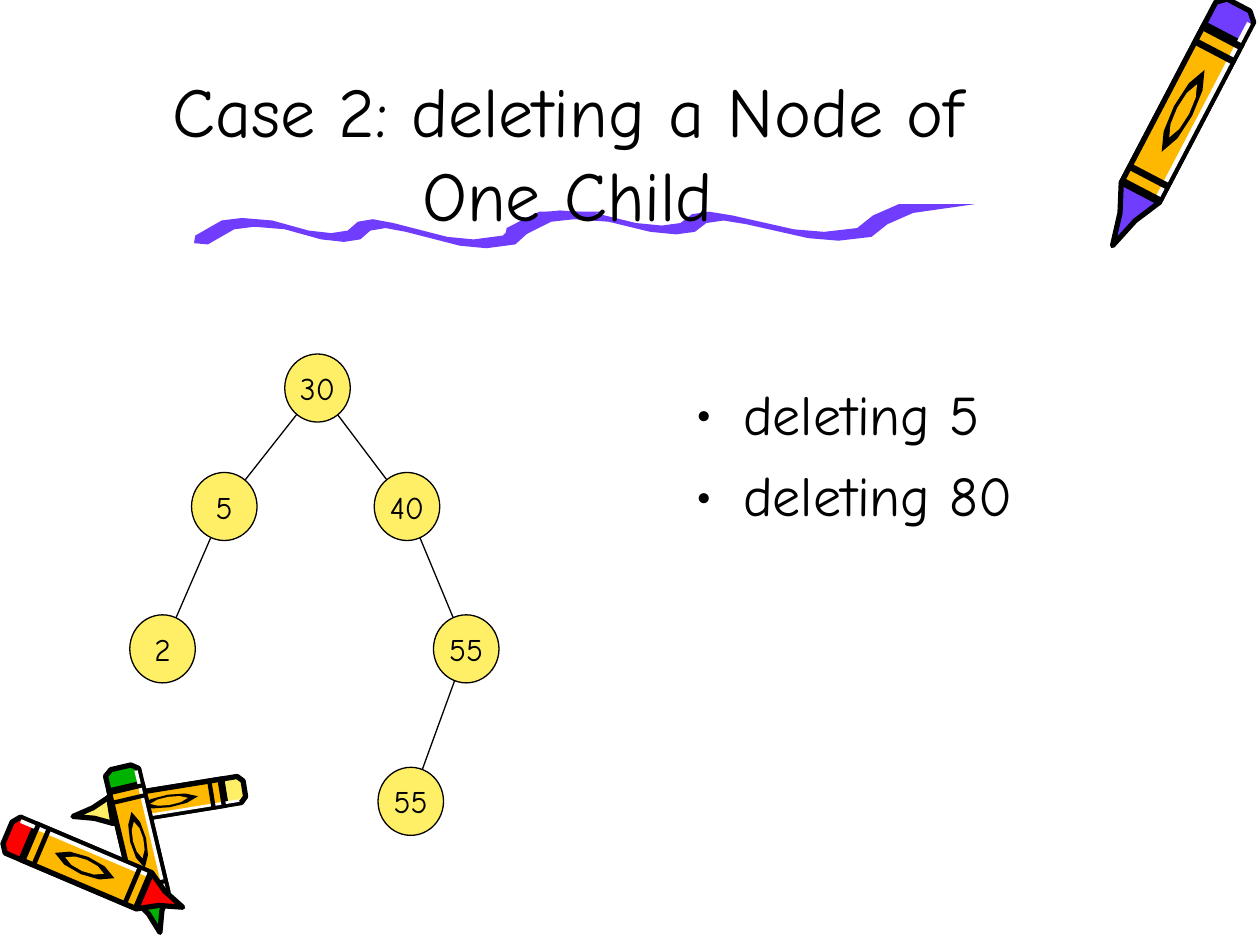
from dataclasses import dataclass
from math import hypot
from typing import NamedTuple

from lxml.etree import SubElement
from pptx import Presentation
from pptx.dml.color import RGBColor
from pptx.enum.shapes import MSO_CONNECTOR, MSO_SHAPE
from pptx.enum.text import MSO_ANCHOR, MSO_AUTO_SIZE, PP_ALIGN
from pptx.oxml.ns import qn
from pptx.util import Inches, Pt

FONT = "Comic Neue"
BLACK, WHITE = "000000", "FFFFFF"
YELLOW, ORANGE, RED = "FFEF66", "FFB800", "FF0000"
GREEN, PURPLE = "00B200", "703DFF"
NODE_WIDTH, NODE_HEIGHT = 0.52, 0.54
NODE_RADIUS = 0.27


class Point(NamedTuple):
    x: float
    y: float


@dataclass(frozen=True)
class Node:
    label: str
    left: float
    top: float
    parent: str = ""

    @property
    def center(self) -> Point:
        return Point(self.left + NODE_WIDTH / 2, self.top + NODE_HEIGHT / 2)


@dataclass(frozen=True)
class Crayon:
    wax: str
    back: Point
    tip: Point
    width: float

    def locate(self, along: float, across: float) -> Point:
        run, rise = self.tip.x - self.back.x, self.tip.y - self.back.y
        side = across * self.width / hypot(run, rise)
        return Point(self.back.x + along * run - side * rise,
                     self.back.y + along * rise + side * run)


TREE = {
    "root": Node("30", 2.26, 2.81),
    "left": Node("5", 1.52, 3.75, "root"),
    "right": Node("40", 2.97, 3.75, "root"),
    "left leaf": Node("2", 1.03, 4.88, "left"),
    "right child": Node("55", 3.44, 4.88, "right"),
    "right leaf": Node("55", 3, 6.09, "right child"),
}

CRAYONS = [
    Crayon(YELLOW, Point(1.94, 6.26), Point(0.58, 6.48), 0.21),
    Crayon(GREEN, Point(0.96, 6.09), Point(1.27, 7.4), 0.27),
    Crayon(RED, Point(0.06, 6.61), Point(1.45, 7.2), 0.31),
    Crayon(PURPLE, Point(9.83, 0.04), Point(8.83, 1.95), 0.34),
]

WAX_HALF = [(0, 0.3), (0.03, 0.5), (0.78, 0.5), (0.88, 0.2), (1, 0)]
WRAPPER_HALF = [(0.12, 0.5), (0.78, 0.5)]
LABEL_HALF = [(0.27, 0), (0.34, 0.18), (0.44, 0.24), (0.54, 0.18), (0.61, 0)]
LABEL_CENTER, LABEL_HOLE = 0.44, 0.65
HIGHLIGHT = [(0.04, -0.46), (0.76, -0.46), (0.76, -0.36), (0.04, -0.36)]
BAND_STARTS, BAND_WIDTH = (0.12, 0.18, 0.7, 0.76), 0.025

SQUIGGLE_START, SQUIGGLE_END = Point(1.54, 1.93), Point(4.81, 1.68)
SQUIGGLE_CURVE = [
    Point(1.65, 1.94), Point(1.86, 1.82), Point(2.02, 1.8), Point(2.26, 1.82), Point(2.55, 1.9),
    Point(2.73, 1.92), Point(2.86, 1.9), Point(2.94, 1.83), Point(3.06, 1.81), Point(3.22, 1.84),
    Point(3.65, 1.95), Point(3.86, 1.97), Point(4.09, 1.94), Point(4.2, 1.84), Point(4.38, 1.75),
]
NIB = Point(-0.1, -0.07)


def color(value: str) -> RGBColor:
    return RGBColor.from_string(value)


def write(frame, *lines: str, size: float, align=PP_ALIGN.LEFT, anchor=MSO_ANCHOR.TOP,
          wrap: bool = True, bullet: str = "", gap: float = 0) -> None:
    frame.word_wrap = wrap
    frame.auto_size = MSO_AUTO_SIZE.NONE
    frame.vertical_anchor = anchor
    for index, line in enumerate(lines):
        para = frame.paragraphs[0] if index == 0 else frame.add_paragraph()
        para.alignment = align
        para.space_before = Pt(gap if index else 0)
        if bullet:
            properties = para._p.get_or_add_pPr()
            properties.set("marL", str(Inches(0.38)))
            properties.set("indent", str(Inches(-0.38)))
            SubElement(properties, qn("a:buFont")).set("typeface", FONT)
            SubElement(properties, qn("a:buChar")).set("char", bullet)
        span = para.add_run()
        span.text = line
        span.font.name = FONT
        span.font.size = Pt(size)
        span.font.color.rgb = color(BLACK)


def paint(shape, fill: str, line_width: float = 0) -> None:
    shape.shadow.inherit = False
    shape.fill.solid()
    shape.fill.fore_color.rgb = color(fill)
    if line_width:
        shape.line.color.rgb = color(BLACK)
        shape.line.width = Pt(line_width)
    else:
        shape.line.fill.background()


def draw_outline(page, points: list[Point], fill: str, line_width: float = 0) -> None:
    corners = [(Inches(point.x), Inches(point.y)) for point in points]
    builder = page.shapes.build_freeform(*corners[0])
    builder.add_line_segments(corners[1:], close=True)
    paint(builder.convert_to_shape(), fill, line_width)


def mirror(half: list[tuple[float, float]]) -> list[tuple[float, float]]:
    return half + [(along, -across) for along, across in reversed(half)]


def draw_crayon(page, crayon: Crayon) -> None:
    def draw_part(part: list[tuple[float, float]], fill: str, line_width: float = 0) -> None:
        draw_outline(page, [crayon.locate(*spot) for spot in part], fill, line_width)

    label = mirror(LABEL_HALF)
    hole = [(LABEL_CENTER + (along - LABEL_CENTER) * LABEL_HOLE, across * LABEL_HOLE)
            for along, across in label]
    draw_part(mirror(WAX_HALF), crayon.wax, 3)
    draw_part(mirror(WRAPPER_HALF), ORANGE, 3)
    draw_part(HIGHLIGHT, WHITE)
    for start in BAND_STARTS:
        draw_part(mirror([(start, 0.5), (start + BAND_WIDTH, 0.5)]), BLACK)
    draw_part(label, BLACK)
    draw_part(hole, ORANGE)


def draw_squiggle(page, left: float, top: float, stretch: float = 1) -> None:
    upper = [Point(x + NIB.x, y + NIB.y) for x, y in reversed(SQUIGGLE_CURVE)]
    ribbon = [*SQUIGGLE_CURVE, SQUIGGLE_END, *upper, SQUIGGLE_START]
    draw_outline(page, [Point(left + (x - SQUIGGLE_START.x) * stretch, top + y - SQUIGGLE_END.y)
                        for x, y in ribbon], PURPLE)


def draw_edge(page, parent: Node, child: Node) -> None:
    start, end = parent.center, child.center
    run, rise = end.x - start.x, end.y - start.y
    trim = NODE_RADIUS / hypot(run, rise)
    ends = (start.x + run * trim, start.y + rise * trim, end.x - run * trim, end.y - rise * trim)
    edge = page.shapes.add_connector(MSO_CONNECTOR.STRAIGHT, *map(Inches, ends))
    edge.line.color.rgb = color(BLACK)
    edge.line.width = Pt(0.75)
    SubElement(edge._element.spPr, qn("a:effectLst"))


def draw_node(page, node: Node) -> None:
    circle = page.shapes.add_shape(MSO_SHAPE.OVAL, Inches(node.left), Inches(node.top),
                                   Inches(NODE_WIDTH), Inches(NODE_HEIGHT))
    paint(circle, YELLOW, 0.75)
    write(circle.text_frame, node.label, size=18, align=PP_ALIGN.CENTER,
          anchor=MSO_ANCHOR.MIDDLE, wrap=False)


def main() -> None:
    deck = Presentation()
    deck.slide_width, deck.slide_height = Inches(10), Inches(7.5)
    page = deck.slides.add_slide(deck.slide_layouts[5])
    draw_squiggle(page, left=1.54, top=1.68)
    draw_squiggle(page, left=4.01, top=1.62, stretch=1.14)
    for crayon in CRAYONS:
        draw_crayon(page, crayon)

    title = page.shapes.title
    title.left, title.top, title.width, title.height = map(Inches, (0.75, 0.17, 7.51, 1.75))
    write(title.text_frame, "Case 2: deleting a Node of One Child", size=40,
          align=PP_ALIGN.CENTER, anchor=MSO_ANCHOR.BOTTOM)
    page.shapes._spTree.append(title._element)

    box = page.shapes.add_textbox(*map(Inches, (5.42, 2.96, 3.3, 1.33)))
    write(box.text_frame, "deleting 5", "deleting 80", size=32, bullet="•", gap=8)

    for node in TREE.values():
        if node.parent:
            draw_edge(page, TREE[node.parent], node)
    for node in TREE.values():
        draw_node(page, node)
    deck.save("out.pptx")


if __name__ == "__main__":
    main()
